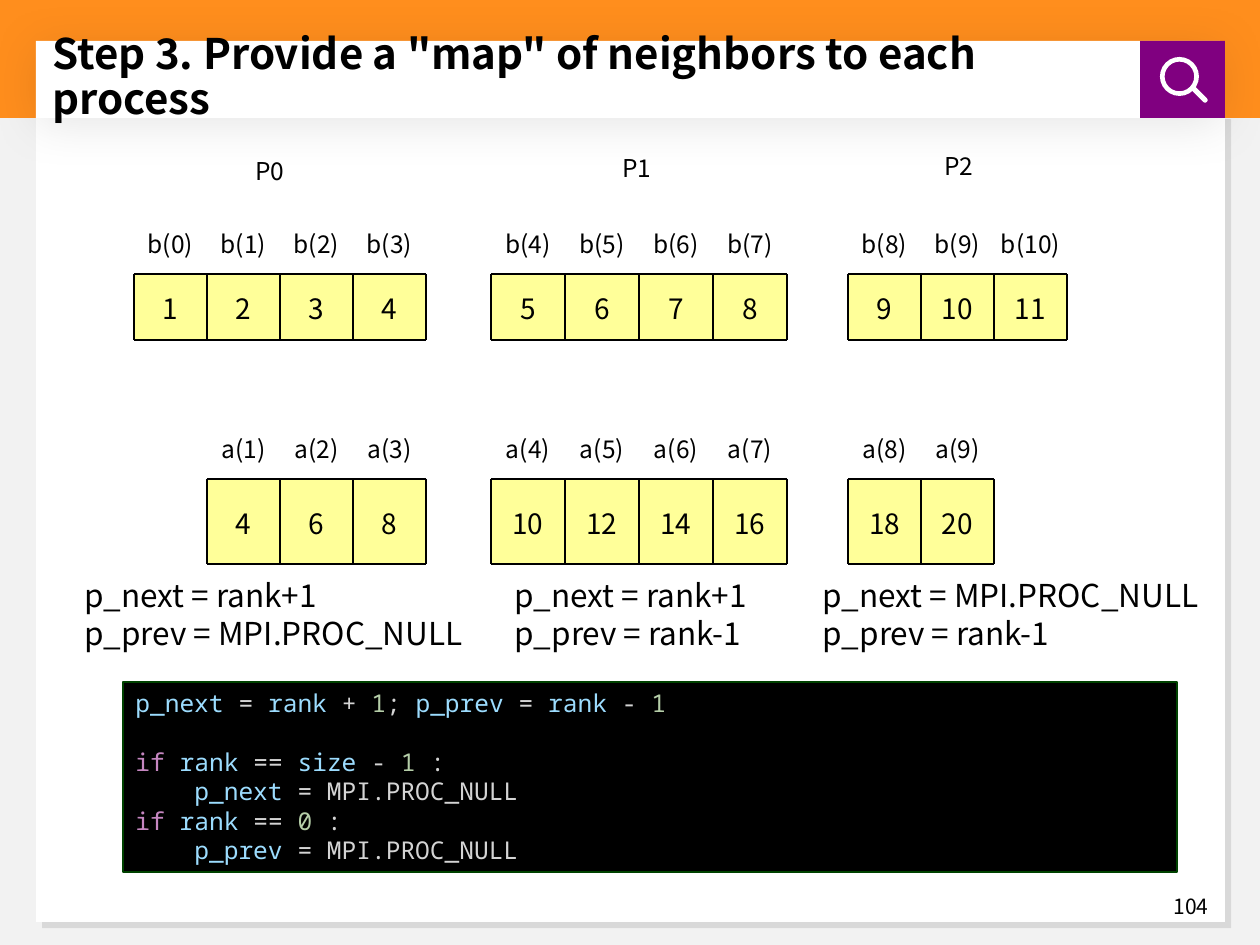
from dataclasses import dataclass

from lxml.etree import SubElement
from pptx import Presentation
from pptx.dml.color import RGBColor
from pptx.enum.shapes import MSO_CONNECTOR, MSO_SHAPE
from pptx.enum.text import MSO_ANCHOR, MSO_AUTO_SIZE, PP_ALIGN
from pptx.oxml.ns import qn
from pptx.util import Pt


@dataclass(frozen=True)
class Theme:
    body_font: str = "Noto Sans CJK KR"
    code_font: str = "Noto Sans Mono"
    black: str = "000000"
    white: str = "FFFFFF"
    backdrop: str = "F2F2F2"
    orange: str = "FF8E1D"
    purple: str = "800080"
    cell: str = "FFFF99"
    code_border: str = "004200"
    variable: str = "9CDCFE"
    plain: str = "D4D4D4"
    number: str = "B5CEA8"
    keyword: str = "C586C0"
    title_size: int = 24
    note_size: int = 18
    value_size: int = 16
    label_size: int = 14
    page_size: int = 12


THEME = Theme()
SCALE = 914400 / 126  # EMU in one px
CELL_TO_LABEL = 59
LABEL_HEIGHT = 55

# Each process: left edge, cell width, first b index, b values, first a column, a values
PROCESSES = [
    (134, 73, 0, [1, 2, 3, 4], 1, [4, 6, 8]),
    (491, 74, 4, [5, 6, 7, 8], 0, [10, 12, 14, 16]),
    (848, 73, 8, [9, 10, 11], 0, [18, 20]),
]
HEADINGS = [("P0", 243, 150), ("P1", 610, 147), ("P2", 932, 145)]
NOTES = [
    (72, 418, ["p_next = rank+1", "p_prev = MPI.PROC_NULL"]),
    (502, 296, ["p_next = rank+1", "p_prev = rank-1"]),
    (810, 416, ["p_next = MPI.PROC_NULL", "p_prev = rank-1"]),
]

VARIABLE, PLAIN, NUMBER, KEYWORD = (
    THEME.variable, THEME.plain, THEME.number, THEME.keyword)
CODE = [
    [("p_next", VARIABLE), (" = ", PLAIN), ("rank", VARIABLE), (" + ", PLAIN),
     ("1", NUMBER), ("; ", PLAIN), ("p_prev", VARIABLE), (" = ", PLAIN),
     ("rank", VARIABLE), (" - ", PLAIN), ("1", NUMBER)],
    [("\n", PLAIN), ("if ", KEYWORD), ("rank", VARIABLE), (" == ", PLAIN),
     ("size", VARIABLE), (" - ", PLAIN), ("1", NUMBER), (" :", PLAIN)],
    [("    ", PLAIN), ("p_next", VARIABLE), (" = MPI.PROC_NULL", PLAIN)],
    [("if ", KEYWORD), ("rank", VARIABLE), (" == ", PLAIN), ("0", NUMBER),
     (" :", PLAIN)],
    [("    ", PLAIN), ("p_prev", VARIABLE), (" = MPI.PROC_NULL", PLAIN)],
]


def px(*lengths):
    return [round(length * SCALE) for length in lengths]


def colour(code):
    return RGBColor.from_string(code)


def add_block(page, area, fill, kind=MSO_SHAPE.RECTANGLE):
    """A filled shape without border or shadow."""
    block = page.shapes.add_shape(kind, *px(*area))
    block.shadow.inherit = False
    block.fill.solid()
    block.fill.fore_color.rgb = colour(fill)
    block.line.fill.background()
    return block


def add_shadow(block, blur, distance, angle):
    effects = block._element.spPr.find(qn("a:effectLst"))
    shadow = SubElement(effects, qn("a:outerShdw"), blurRad=str(Pt(blur)),
                        dist=str(Pt(distance)), dir=str(angle * 60000),
                        algn="t", rotWithShape="0")
    black = SubElement(shadow, qn("a:srgbClr"), val=THEME.black)
    SubElement(black, qn("a:alpha"), val="10000")


def add_line(page, *ends):
    line = page.shapes.add_connector(MSO_CONNECTOR.STRAIGHT, *px(*ends))
    line.line.color.rgb = colour(THEME.black)
    line.line.width = Pt(1)
    SubElement(line._element.spPr, qn("a:effectLst"))


def write(box, lines, size, font=THEME.body_font, bold=False,
          align=PP_ALIGN.LEFT, spacing=None):
    """Fill a box with lines of (text, colour) spans; a newline span is a break."""
    frame = box.text_frame
    for index, spans in enumerate(lines):
        para = frame.add_paragraph() if index else frame.paragraphs[0]
        para.alignment = align
        para.line_spacing = spacing
        para.font.size = Pt(size)
        para.font.name = font
        for text, ink in spans:
            if text == "\n":
                para.add_line_break()
                continue
            span = para.add_run()
            span.text = text
            span.font.size = Pt(size)
            span.font.name = font
            span.font.bold = bold
            span.font.color.rgb = colour(ink)


def add_text(page, area, lines, size, wrap=True, anchor=MSO_ANCHOR.TOP, **style):
    box = page.shapes.add_textbox(*px(*area))
    box.text_frame.word_wrap = wrap
    box.text_frame.vertical_anchor = anchor
    write(box, [[(line, THEME.black)] for line in lines], size, **style)
    return box


def add_cell(page, area, text, fill, size):
    cell = add_block(page, area, fill)
    frame = cell.text_frame
    frame.margin_left = frame.margin_right = 0
    frame.margin_top = frame.margin_bottom = 0
    frame.vertical_anchor = MSO_ANCHOR.MIDDLE
    write(cell, [[(text, THEME.black)]], size, align=PP_ALIGN.CENTER, spacing=1.1)


def add_array(page, name, first, values, left, top, width, height):
    """A row of labelled value cells with ruled borders."""
    for column, value in enumerate(values):
        x = left + column * width
        add_cell(page, (x, top - CELL_TO_LABEL, width, LABEL_HEIGHT),
                 f"{name}({first + column})", THEME.white, THEME.label_size)
        add_cell(page, (x, top, width, height), str(value),
                 THEME.cell, THEME.value_size)
    right, bottom = left + len(values) * width, top + height
    for x in range(left, right + 1, width):
        add_line(page, x, top, x, bottom)
    for y in (top, bottom):
        add_line(page, left, y, right, y)


def add_frame(page):
    # Backdrop, white panel and header band
    add_block(page, (0, 87, 1260, 858), THEME.backdrop)
    panel = add_block(page, (36, 113, 1189, 809), THEME.white)
    add_shadow(panel, 0, 5, 45)
    add_block(page, (0, 0, 1260, 118), THEME.orange)
    header = add_block(page, (36, 41, 1184, 77), THEME.white)
    add_shadow(header, 27, 3, 90)

    # Magnifier icon
    add_block(page, (1140, 41, 85, 77), THEME.purple)
    lens = add_block(page, (1160, 57, 39, 39), THEME.white, MSO_SHAPE.DONUT)
    lens.adjustments[0] = 0.12
    handle = add_block(page, (1197, 84, 5, 21), THEME.white,
                       MSO_SHAPE.ROUNDED_RECTANGLE)
    handle.adjustments[0] = 0.5
    handle.rotation = 315

    # Page number and title
    add_text(page, (946, 893, 275, 26), ["104"], THEME.page_size,
             anchor=MSO_ANCHOR.MIDDLE, align=PP_ALIGN.RIGHT)
    add_text(page, (40, 44, 1113, 69),
             ['Step 3. Provide a "map" of neighbors to each process'],
             THEME.title_size, anchor=MSO_ANCHOR.MIDDLE, bold=True, spacing=0.9)


def add_code(page, area):
    box = add_text(page, area, [], THEME.label_size)
    box.fill.solid()
    box.fill.fore_color.rgb = colour(THEME.black)
    box.line.color.rgb = colour(THEME.code_border)
    box.line.width = Pt(0.75)
    write(box, CODE, THEME.label_size, font=THEME.code_font)


def main():
    deck = Presentation()
    deck.slide_width, deck.slide_height = px(1260, 945)
    page = deck.slides.add_slide(deck.slide_layouts[6])
    add_frame(page)

    # Distributed arrays of each process
    for left, width, first, b_values, skip, a_values in PROCESSES:
        add_array(page, "b", first, b_values, left, 274, width, 66)
        add_array(page, "a", first + skip, a_values,
                  left + skip * width, 479, width, 85)
    for name, left, top in HEADINGS:
        add_text(page, (left, top, 55, 43), [name], THEME.label_size, wrap=False)

    # Neighbors of each process
    for left, width, lines in NOTES:
        box = add_text(page, (left, 570, width, 89), lines, THEME.note_size)
        box.text_frame.auto_size = MSO_AUTO_SIZE.SHAPE_TO_FIT_TEXT

    add_code(page, (123, 682, 1054, 190))
    deck.save("out.pptx")


if __name__ == "__main__":
    main()
